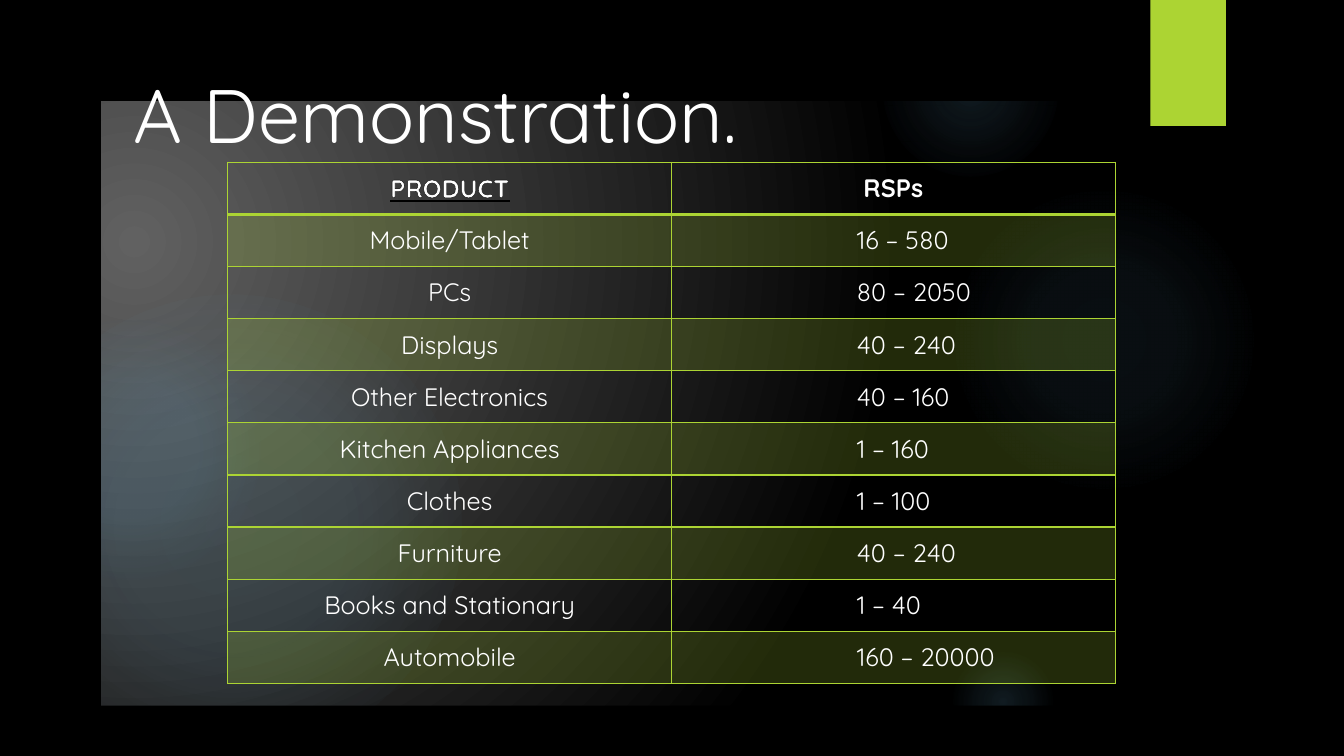
from lxml.etree import SubElement
from pptx import Presentation
from pptx.dml.color import RGBColor
from pptx.enum.shapes import MSO_SHAPE
from pptx.enum.text import MSO_ANCHOR, PP_ALIGN
from pptx.oxml.ns import qn
from pptx.util import Inches, Pt

LIME, WHITE, BLACK, GLOW = "ACD433", "FFFFFF", "000000", "7AC4F0"

# left, top, diameter, stops as (position, opacity)
GLOWS = [
    (0, 2.92, 4.58, [(0, 11), (36, 10), (75, 0)]),
    (0, 3.17, 2.58, [(0, 8), (36, 8), (72, 0)]),
    (9.41, 1.83, 3.08, [(0, 7), (36, 6), (69, 0)]),
    (8.75, 0, 1.75, [(0, 14), (36, 7), (73, 0)]),
    (9.41, 6.42, 1.08, [(0, 14), (36, 7), (66, 0)]),
]

PRICES = [
    ("PRODUCT", "RSPs"),
    ("Mobile/Tablet", "16 – 580"),
    ("PCs", "80 – 2050"),
    ("Displays", "40 – 240"),
    ("Other Electronics", "40 – 160"),
    ("Kitchen Appliances", "1 – 160"),
    ("Clothes", "1 – 100"),
    ("Furniture", "40 – 240"),
    ("Books and Stationary", "1 – 40"),
    ("Automobile", "160 – 20000"),
]


def rgb(code):
    return RGBColor.from_string(code)


def add_color(parent, code, opacity=100):
    color = SubElement(parent, qn("a:srgbClr"), val=code)
    if opacity < 100:
        SubElement(color, qn("a:alpha"), val=str(opacity * 1000))


def set_radial(fill, owner, stops, focus):
    """Fill with a circular gradient; stops are (position, colour, opacity)."""
    fill.gradient()
    gradient = next(owner.iter(qn("a:gradFill")))
    for child in list(gradient):
        gradient.remove(child)
    stop_list = SubElement(gradient, qn("a:gsLst"))
    for position, code, opacity in stops:
        stop = SubElement(stop_list, qn("a:gs"), pos=str(position * 1000))
        add_color(stop, code, opacity)
    circle = SubElement(gradient, qn("a:path"), **{"path": "circle"})
    sides = {side: str(inset * 1000) for side, inset in zip("ltrb", focus)}
    SubElement(circle, qn("a:fillToRect"), **sides)


def set_plain(shape, code=None):
    shape.shadow.inherit = False
    shape.line.fill.background()
    if code:
        shape.fill.solid()
        shape.fill.fore_color.rgb = rgb(code)


def write(frame, text, align=PP_ALIGN.LEFT, **formats):
    paragraph = frame.paragraphs[0]
    paragraph.alignment = align
    run = paragraph.add_run()
    run.text = text
    run.font.color.rgb = rgb(WHITE)
    for name, value in {"name": "Quicksand", **formats}.items():
        setattr(run.font, name, value)
    return run


def add_glow(slide, left, top, size, stops):
    glow = slide.shapes.add_shape(
        MSO_SHAPE.OVAL, Inches(left), Inches(top), Inches(size), Inches(size))
    set_plain(glow)
    colored = [(position, GLOW, opacity) for position, opacity in stops]
    set_radial(glow.fill, glow.element, colored, (50, 50, 50, 50))


def add_frame(slide):
    width, height, edge = 13.33, 7.5, 0.52
    right, bottom = width - edge, height - edge
    builder = slide.shapes.build_freeform(0, 0, scale=Inches(1))
    builder.add_line_segments([(0, height), (width, height), (width, 0)])
    builder.move_to(right, bottom)
    builder.add_line_segments([(edge, bottom), (edge, edge), (right, edge)])
    set_plain(builder.convert_to_shape(), BLACK)


def add_tab(slide):
    tab = slide.shapes.add_shape(
        MSO_SHAPE.RECTANGLE, Inches(11.41), 0, Inches(0.75), Inches(1.25))
    set_plain(tab, LIME)


def add_title(slide, text):
    title = slide.shapes.add_textbox(
        Inches(1.23), Inches(0.05), Inches(9.65), Inches(1.57))
    title.text_frame.word_wrap = True
    title.text_frame.vertical_anchor = MSO_ANCHOR.BOTTOM
    write(title.text_frame, text, size=Pt(54))


def style_cell(cell, row):
    cell.vertical_anchor = MSO_ANCHOR.MIDDLE
    properties = cell._tc.get_or_add_tcPr()
    # The rule under the header is twice as thick
    widths = {"L": 1, "R": 1, "T": 2 if row == 1 else 1, "B": 2 if row == 0 else 1}
    for side, width in widths.items():
        border = SubElement(properties, qn(f"a:ln{side}"), w=str(Pt(width)))
        add_color(SubElement(border, qn("a:solidFill")), LIME)
    if row % 2:
        cell.fill.solid()
        cell.fill.fore_color.rgb = rgb(LIME)
        band_color = next(properties.iterchildren(qn("a:solidFill")))[0]
        SubElement(band_color, qn("a:alpha"), val="20000")
    else:
        cell.fill.background()


def outline_text(run, code, width):
    properties = run.font._element
    outline = SubElement(properties, qn("a:ln"), w=str(Pt(width)))
    add_color(SubElement(outline, qn("a:solidFill")), code)
    properties.insert(0, outline)


def add_prices(slide):
    row_height = Inches(0.517)
    prices = slide.shapes.add_table(
        len(PRICES), 2, Inches(2.26), Inches(1.61),
        Inches(8.8), row_height * len(PRICES)).table
    for row, texts in enumerate(PRICES):
        prices.rows[row].height = row_height
        for column, text in enumerate(texts):
            cell = prices.cell(row, column)
            style_cell(cell, row)
            is_range = row > 0 and column == 1
            if is_range:
                cell.margin_left = Inches(1.84)
            run = write(cell.text_frame, text,
                        PP_ALIGN.LEFT if is_range else PP_ALIGN.CENTER,
                        size=Pt(18), bold=row == 0)
            if row == 0 and column == 0:
                run.font.underline = True
                outline_text(run, BLACK, 0.75)


def main():
    deck = Presentation()
    deck.slide_width, deck.slide_height = Inches(13.33), Inches(7.5)
    slide = deck.slides.add_slide(deck.slide_layouts[6])

    # Backdrop
    set_radial(slide.background.fill, slide.element,
               [(0, "616161", 100), (100, BLACK, 100)], (45, 65, 125, 100))
    for glow in GLOWS:
        add_glow(slide, *glow)
    add_frame(slide)
    add_tab(slide)

    # Content
    add_prices(slide)
    add_title(slide, "A Demonstration.")
    deck.save("out.pptx")


if __name__ == "__main__":
    main()
